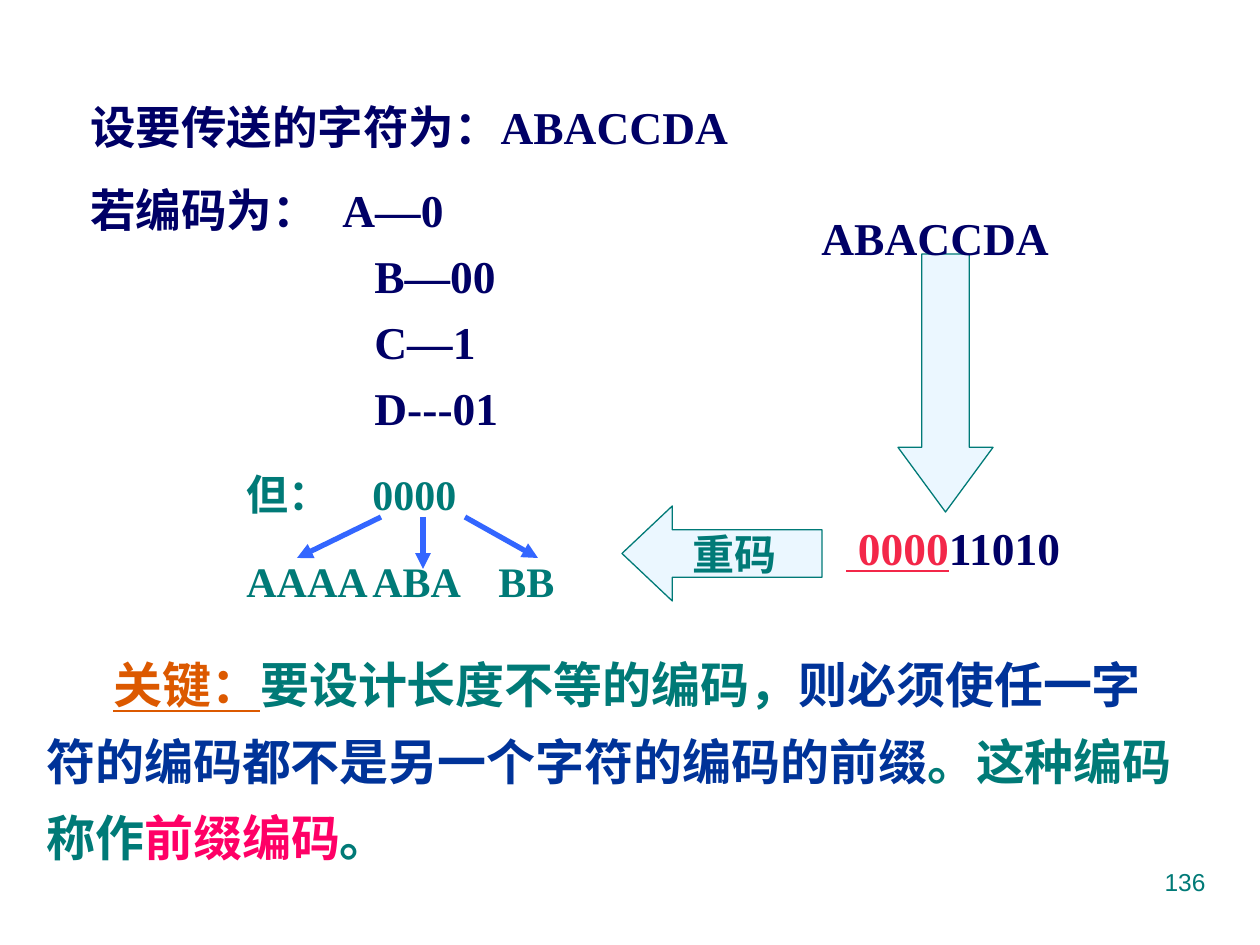
"""Build a slide on variable-length codes and the prefix-code rule."""
from dataclasses import dataclass

from lxml import etree
from pptx import Presentation
from pptx.dml.color import RGBColor
from pptx.enum.shapes import MSO_CONNECTOR, MSO_SHAPE
from pptx.enum.text import MSO_ANCHOR, PP_ALIGN
from pptx.oxml.ns import qn
from pptx.util import Emu, Pt

STRAIGHT = MSO_CONNECTOR.STRAIGHT
DOWN, LEFT_ARROW = MSO_SHAPE.DOWN_ARROW, MSO_SHAPE.LEFT_ARROW
TOP, MIDDLE = MSO_ANCHOR.TOP, MSO_ANCHOR.MIDDLE
LEFT, CENTER, RIGHT = PP_ALIGN.LEFT, PP_ALIGN.CENTER, PP_ALIGN.RIGHT

NAVY = RGBColor(0x00, 0x00, 0x66)
TEAL = RGBColor(0x00, 0x7A, 0x77)
ORANGE = RGBColor(0xDC, 0x59, 0x00)
BLUE = RGBColor(0x00, 0x33, 0x99)
PINK = RGBColor(0xFF, 0x00, 0x66)
RED = RGBColor(0xF3, 0x27, 0x49)
ICE = RGBColor(0xEB, 0xF7, 0xFF)
ARROW_BLUE = RGBColor(0x33, 0x66, 0xFF)

SCALE = 914400 / 126
SERIF = "Times New Roman"


@dataclass(frozen=True)
class Run:
    """A piece of text in one colour."""
    text: str
    color: RGBColor
    underline: bool = False


@dataclass(frozen=True)
class Para:
    """A paragraph with its indents and tab stops in px."""
    runs: tuple[Run, ...]
    margin: int = 0
    indent: int = 0
    tabs: tuple[int, ...] = ()
    before: float = 0
    spacing: float = 1.0
    align: PP_ALIGN = LEFT


@dataclass(frozen=True)
class Box:
    """A text box with its place in px."""
    at: tuple[int, int, int, int]
    size: int
    paras: tuple[Para, ...]
    font: str = SERIF
    bold: bool = True


@dataclass(frozen=True)
class BlockArrow:
    """A block arrow with its place in px and an optional label."""
    kind: MSO_SHAPE
    at: tuple[int, int, int, int]
    head: float
    label: str = ""


BOXES = (
    Box((78, 77, 924, 430), 26, (
        Para((Run("设要传送的字符为：ABACCDA", NAVY),), spacing=1.3),
        Para((Run("若编码为：\tA—0", NAVY),), tabs=(290,), before=6.5, spacing=1.3),
        *(Para((Run(code, NAVY),), margin=284, before=6.5)
          for code in ("B—00", "C—1", "D---01")),
    )),
    Box((34, 631, 1152, 242), 28, (
        Para((
            Run("关键：", ORANGE, True),
            Run("要设计长度不等的编码，", TEAL),
            Run("则必须使任一字符的编码都不是另一个字符的编码的前缀", BLUE),
            Run("。这种编码称作", TEAL),
            Run("前缀编码", PINK),
            Run("。", TEAL),
        ), indent=67, spacing=1.3),
    )),
    Box((789, 204, 284, 68), 26, (Para((Run("ABACCDA", NAVY),), margin=20),)),
    Box((755, 514, 347, 68), 26, (
        Para((Run(" 0000", RED, True), Run("11010", NAVY)), margin=79),
    )),
    Box((234, 462, 431, 150), 24, (
        Para((Run("但：\t0000", TEAL),), tabs=(131,)),
        Para((Run("AAAA\tABA\tBB", TEAL),), tabs=(148, 265), before=21),
    )),
    Box((903, 861, 315, 66), 14, (Para((Run("136", TEAL),), align=RIGHT),),
        font="Arial", bold=False),
)

BLOCK_ARROWS = (
    BlockArrow(DOWN, (898, 254, 95, 258), 0.68),
    BlockArrow(LEFT_ARROW, (622, 506, 200, 95), 0.53, "重码"),
)

DECODINGS = (
    ((381, 517), (297, 558)),
    ((423, 517), (423, 569)),
    ((465, 517), (538, 558)),
)


def px(*values: int) -> list[Emu]:
    """Turn px into EMU."""
    return [Emu(round(v * SCALE)) for v in values]


def set_format(obj, values: dict) -> None:
    """Set each attribute named in values."""
    for name, value in values.items():
        setattr(obj, name, value)


def fill_paragraph(p, para: Para, size: int, font: str, bold: bool) -> None:
    """Write one paragraph with its layout and runs."""
    pPr = p._p.get_or_add_pPr()
    margin, indent = px(para.margin, para.indent)
    pPr.set("marL", str(margin))
    pPr.set("indent", str(indent))
    if para.tabs:
        stops = etree.SubElement(pPr, qn("a:tabLst"))
        for pos in px(*para.tabs):
            etree.SubElement(stops, qn("a:tab"), pos=str(pos), algn="l")
    set_format(p, {"alignment": para.align, "line_spacing": para.spacing,
                   "space_before": Pt(para.before)})
    for run in para.runs:
        r = p.add_run()
        r.text = run.text
        set_format(r.font, {"name": font, "size": Pt(size), "bold": bold,
                            "underline": run.underline})
        r.font.color.rgb = run.color


def add_box(slide, box: Box) -> None:
    """Add a wrapped text box."""
    tf = slide.shapes.add_textbox(*px(*box.at)).text_frame
    set_format(tf, {"word_wrap": True, "vertical_anchor": TOP})
    for i, para in enumerate(box.paras):
        p = tf.add_paragraph() if i else tf.paragraphs[0]
        fill_paragraph(p, para, box.size, box.font, box.bold)


def add_block_arrow(slide, arrow: BlockArrow) -> None:
    """Add a pale block arrow."""
    sp = slide.shapes.add_shape(arrow.kind, *px(*arrow.at))
    sp.shadow.inherit = False
    sp.adjustments[0] = 0.5
    sp.adjustments[1] = arrow.head
    sp.fill.solid()
    sp.fill.fore_color.rgb = ICE
    sp.line.color.rgb = TEAL
    sp.line.width = Pt(0.75)
    if arrow.label:
        tf = sp.text_frame
        set_format(tf, {"word_wrap": False, "vertical_anchor": MIDDLE})
        para = Para((Run(arrow.label, TEAL),), align=CENTER)
        fill_paragraph(tf.paragraphs[0], para, 24, SERIF, True)


def add_arrow(slide, start: tuple[int, int], end: tuple[int, int]) -> None:
    """Add a straight line with an arrowhead at its end."""
    cxn = slide.shapes.add_connector(STRAIGHT, *px(*start, *end))
    cxn.line.color.rgb = ARROW_BLUE
    cxn.line.width = Pt(3)
    etree.SubElement(cxn.line._get_or_add_ln(), qn("a:tailEnd"), type="triangle")
    etree.SubElement(cxn._element.spPr, qn("a:effectLst"))


def main() -> None:
    """Build and save the slide."""
    prs = Presentation()
    prs.slide_width, prs.slide_height = px(1260, 945)
    s = prs.slides.add_slide(prs.slide_layouts[6])
    for arrow in BLOCK_ARROWS:
        add_block_arrow(s, arrow)
    for box in BOXES:
        add_box(s, box)
    for start, end in DECODINGS:
        add_arrow(s, start, end)
    prs.save("out.pptx")


if __name__ == "__main__":
    main()
